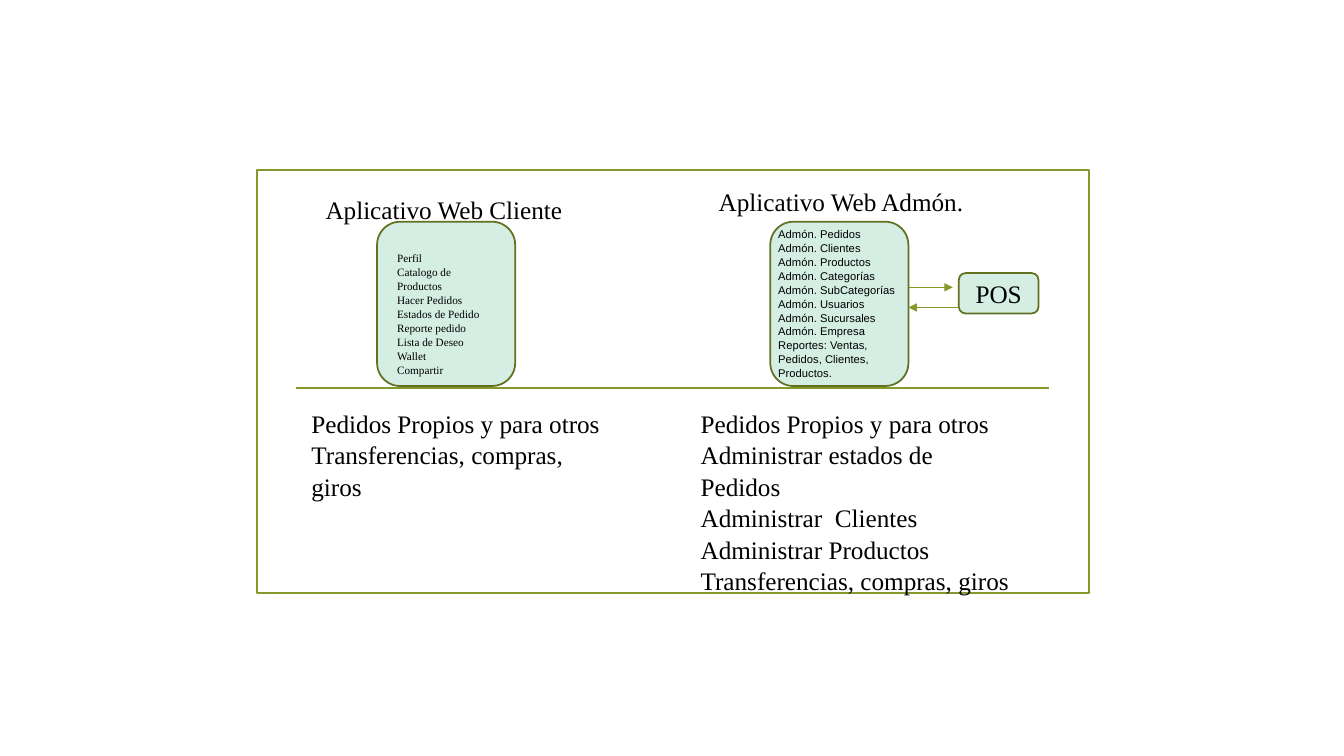
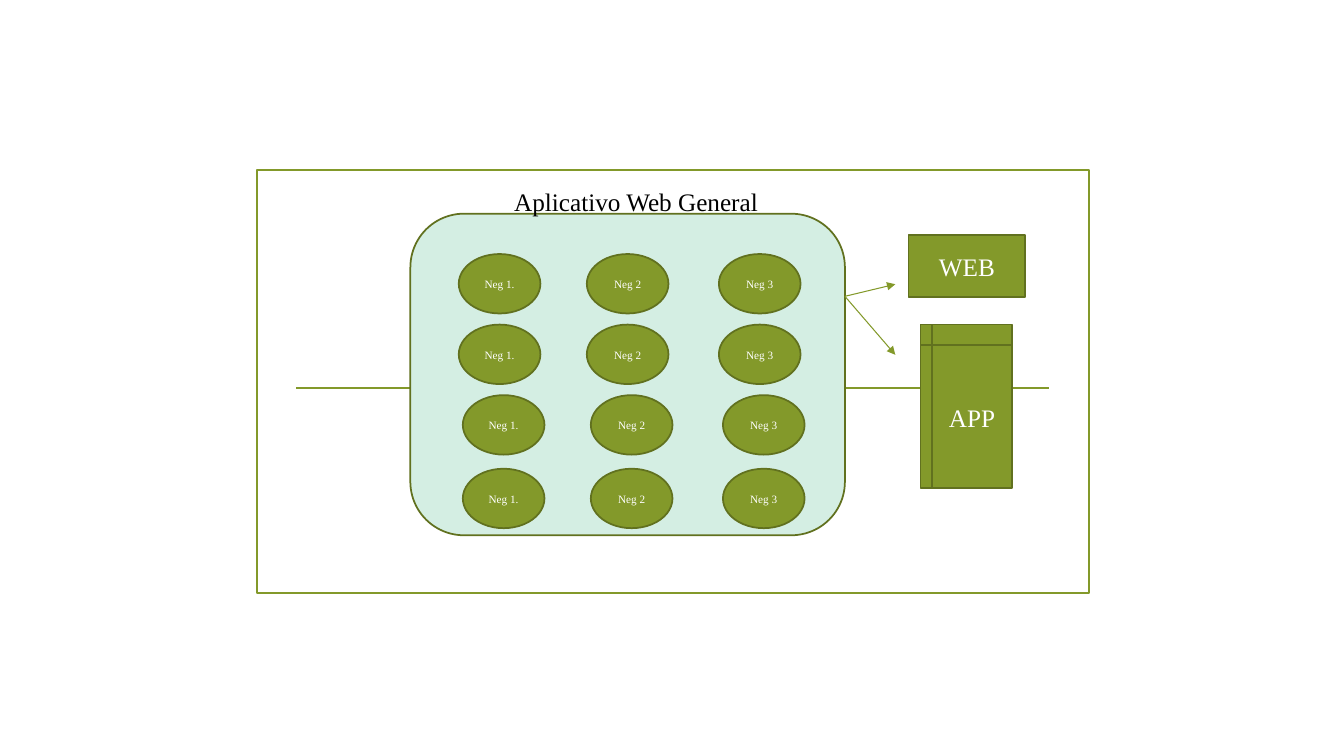
from pptx import Presentation
from pptx.dml.color import RGBColor
from pptx.enum import shapes, text
from pptx.oxml import parse_xml
from pptx.oxml.ns import nsdecls
from pptx.util import Inches, Pt

# Shared style
OLIVE = RGBColor(0x83, 0x99, 0x2A)
DARK = RGBColor(0x61, 0x71, 0x1F)
MINT = RGBColor(0xD4, 0xEE, 0xE3)
WHITE = RGBColor(255, 255, 255)
BLACK = RGBColor(0, 0, 0)
SERIF, SANS = "Times New Roman", "Arial"
BIG, SMALL = 18, 8
KIND = shapes.MSO_SHAPE
ALIGN = text.PP_ALIGN

# Content: heading, box, list and tasks of each application
APPS = [
    dict(
        head=("Aplicativo Web Cliente", (3.13, 1.87, 2.58, 0.4)),
        panel=(3.74, 2.2, 1.37, 1.63),
        items=["Perfil", "Catalogo de Productos", "Hacer Pedidos",
               "Estados de Pedido", "Reporte pedido", "Lista de Deseo",
               "Wallet", "Compartir"],
        area=(3.84, 2.44, 1.15, 1.31), font=SERIF,
        tasks=["Pedidos Propios y para otros",
               "Transferencias, compras, giros"],
        below=(2.99, 3.99, 3.15, 1.01)),
    dict(
        head=("Aplicativo Web Admón.", (7.03, 1.79, 2.78, 0.4)),
        panel=(7.64, 2.2, 1.37, 1.63),
        items=["Admón. Pedidos", "Admón. Clientes", "Admón. Productos",
               "Admón. Categorías", "Admón. SubCategorías",
               "Admón. Usuarios", "Admón. Sucursales", "Admón. Empresa",
               "Reportes: Ventas, Pedidos, Clientes, Productos."],
        area=(7.62, 2.2, 1.39, 1.72), font=SANS,
        tasks=["Pedidos Propios y para otros",
               "Administrar estados de Pedidos", "Administrar  Clientes",
               "Administrar Productos", "Transferencias, compras, giros"],
        below=(6.85, 3.99, 3.28, 1.92)),
]
POS_LINKS = [((9.02, 2.85), (9.45, 2.85)), ((9.51, 3.05), (9.01, 3.05))]

GENERAL = "Aplicativo Web General"
UNITS = [("Neg 1.", 4.55), ("Neg 2", 5.82), ("Neg 3", 7.13)]
ROWS = [(2.52, 0), (3.22, 0), (3.92, 0.04), (4.65, 0.04)]  # top, shift
OUTLETS = [
    ("WEB", KIND.RECTANGLE, (9.01, 2.33, 1.16, 0.62)),
    ("APP", KIND.FLOWCHART_INTERNAL_STORAGE, (9.13, 3.22, 0.91, 1.62)),
]
SOURCE = (8.38, 2.94)
TARGETS = [(8.88, 2.82), (8.88, 3.52)]


def write(shape, lines, size, color=BLACK, font=SERIF, align=ALIGN.LEFT):
    frame = shape.text_frame
    frame.word_wrap = True
    for i, line in enumerate(lines):
        para = frame.paragraphs[0] if i == 0 else frame.add_paragraph()
        para.alignment = align
        para.line_spacing = 1.04
        run = para.add_run()
        run.text = line
        run.font.size = Pt(size)
        run.font.name = font
        run.font.color.rgb = color


def label(slide, lines, at, size=BIG, font=SERIF):
    write(slide.shapes.add_textbox(*map(Inches, at)), lines, size, font=font)


def block(slide, kind, at, fill=None, edge=DARK, words=None, size=BIG,
          color=WHITE):
    shape = slide.shapes.add_shape(kind, *map(Inches, at))
    shape.shadow.inherit = False
    if fill is None:
        shape.fill.background()
    else:
        shape.fill.solid()
        shape.fill.fore_color.rgb = fill
    shape.line.color.rgb = edge
    shape.line.width = Pt(1.25)
    if words:
        shape.text_frame.vertical_anchor = text.MSO_ANCHOR.MIDDLE
        write(shape, [words], size, color, align=ALIGN.CENTER)
    return shape


def link(slide, start, end, width=0.75, arrow=True):
    line = slide.shapes.add_connector(
        shapes.MSO_CONNECTOR.STRAIGHT, *map(Inches, start + end))
    line.line.color.rgb = OLIVE
    line.line.width = Pt(width)
    if arrow:
        line.line._get_or_add_ln().append(
            parse_xml(f'<a:tailEnd {nsdecls("a")} type="triangle"/>'))
    line._element.spPr.append(parse_xml(f'<a:effectLst {nsdecls("a")}/>'))


def start(deck, layout):
    # Frame and middle rule of every slide
    slide = deck.slides.add_slide(deck.slide_layouts[layout])
    block(slide, KIND.RECTANGLE, (2.55, 1.69, 8.25, 4.19), edge=OLIVE)
    link(slide, (2.94, 3.85), (10.4, 3.85), 1.25, arrow=False)
    return slide


def draw_apps(deck):
    slide = start(deck, 6)
    for app in APPS:
        block(slide, KIND.ROUNDED_RECTANGLE, app["panel"], MINT)
        head, at = app["head"]
        label(slide, [head], at)
        label(slide, app["items"], app["area"], SMALL, app["font"])
        label(slide, app["tasks"], app["below"])
    # Point of sale
    block(slide, KIND.ROUNDED_RECTANGLE, (9.51, 2.71, 0.79, 0.4), MINT,
          words="POS", color=BLACK)
    for a, b in POS_LINKS:
        link(slide, a, b)


def draw_general(deck):
    slide = start(deck, 5)
    panel = block(slide, KIND.ROUNDED_RECTANGLE, (4.07, 2.12, 4.31, 3.19),
                  MINT)
    # Title, in front of the panel
    title = slide.shapes.title
    title.left, title.top, title.width, title.height = map(
        Inches, (5, 1.79, 2.78, 0.4))
    title.text_frame.vertical_anchor = text.MSO_ANCHOR.TOP
    title.text_frame.auto_size = text.MSO_AUTO_SIZE.NONE
    write(title, [GENERAL], BIG)
    panel._element.addnext(title._element)
    # Grid of businesses
    for top, shift in ROWS:
        for name, left in UNITS:
            block(slide, KIND.OVAL, (left + shift, top, 0.81, 0.59), OLIVE,
                  words=name, size=SMALL)
    # Outlets
    for name, kind, at in OUTLETS:
        block(slide, kind, at, OLIVE, words=name)
    for end in TARGETS:
        link(slide, SOURCE, end)


def main():
    deck = Presentation()
    deck.slide_width, deck.slide_height = Inches(13.33), Inches(7.5)
    draw_apps(deck)
    draw_general(deck)
    deck.save("out.pptx")


if __name__ == "__main__":
    main()
